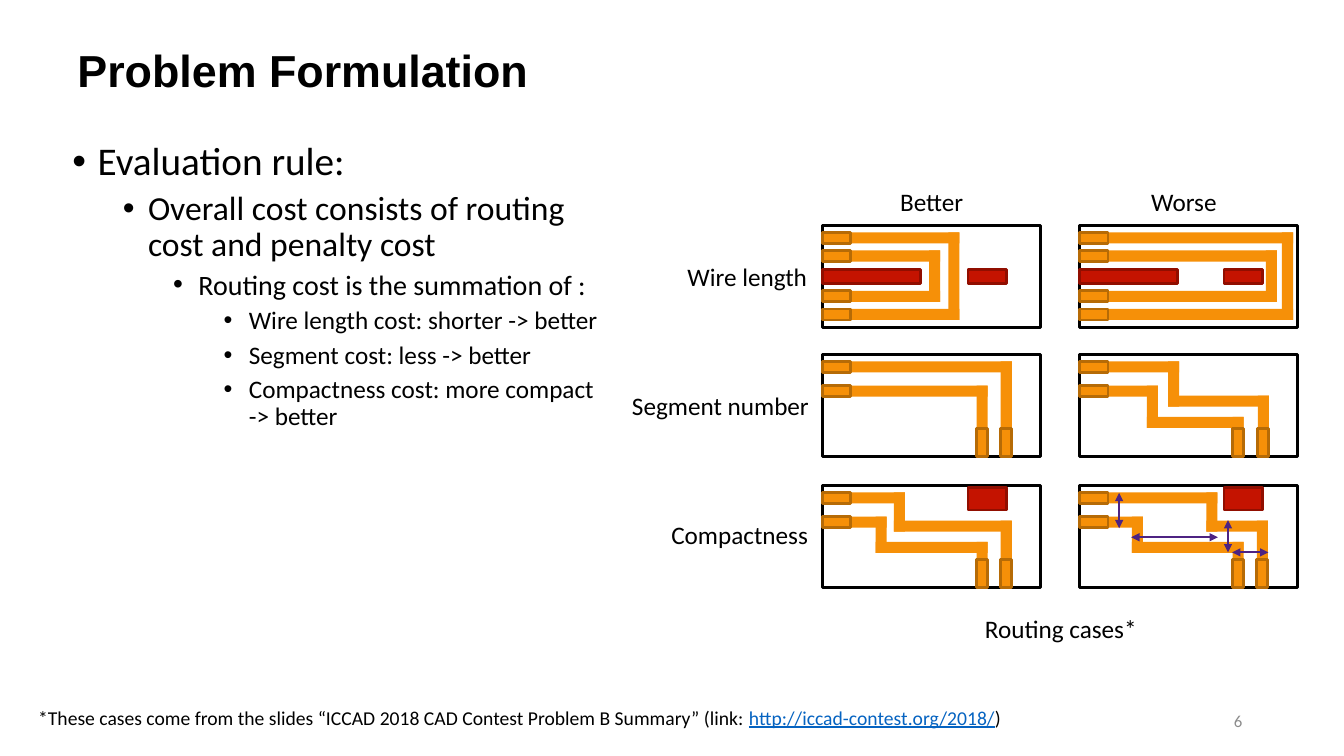
import pptx
import pptx.util
import pptx.dml.color
import pptx.enum.shapes
import pptx.enum.text
import pptx.oxml.ns
import lxml.etree

# Content: text as (box, anchor, align, runs); run as (words, format)
INK, LINK, GREY = "000000", "0563C1", "8C8C8C"
WIRE, PADLINE, RED, REDLINE, ARROW = "F69008", "B66B06", "C41300", "910E00", "4D2382"
LABEL = {"size": 18}
NOTE = {"size": 14}
TEXTS = [
    ((.67, .07, 12.67, 1.25), "MIDDLE", "LEFT",
     [("Problem Formulation", {"size": 32, "name": "Arial", "bold": True})]),
    ((9.42, 6.95, 3, .4), "MIDDLE", "RIGHT", [("6", {"size": 12, "color": GREY})]),
    ((6.72, 2.54, 1.61, .4), "TOP", "LEFT", [("Wire length", LABEL)]),
    ((6.17, 3.82, 2.14, .4), "TOP", "LEFT", [("Segment number", LABEL)]),
    ((6.56, 5.1, 1.77, .4), "TOP", "LEFT", [("Compactness", LABEL)]),
    ((8.83, 1.8, .84, .4), "TOP", "LEFT", [("Better", LABEL)]),
    ((11.32, 1.8, .86, .4), "TOP", "LEFT", [("Worse", LABEL)]),
    ((9.67, 6.04, 1.8, .4), "TOP", "LEFT", [("Routing cases*", LABEL)]),
    ((.28, 6.95, 11.03, .34), "TOP", "LEFT", [
        ("*These cases come from the slides “ICCAD 2018 CAD Contest Problem B Summary” (link: ", NOTE),
        ("http://iccad-contest.org/2018/", NOTE | {"color": LINK, "underline": True}),
        (")", NOTE)]),
]
BODY = (.62, 1.36, 5.44, 5.2)
SIZES = [28, 24, 20, 18]
RULES = [
    (0, "Evaluation rule:"),
    (1, "Overall cost consists of routing cost and penalty cost"),
    (2, "Routing cost is the summation of :"),
    (3, "Wire length cost: shorter -> better"),
    (3, "Segment cost: less -> better"),
    (3, "Compactness cost: more compact -> better"),
]

# Panel grid: column lefts, row tops, panel size
COLS = [8.16, 10.71]
ROWS = [2.24, 3.52, 4.82]
WIDE, HIGH = 2.16, 1.01
THICK, PAD = .11, .28

# Cases inside a panel: (column, row, wires, blocks).
# A wire lists its turns y, x, y, ...: an odd count returns to the left edge,
# an even count runs down to the bottom edge.
CASES = [
    (0, 0, [(.12, 1.3, .88), (.3, 1.11, .7)], [(0, .43, .97, .14), (1.44, .43, .38, .14)]),
    (1, 0, [(.12, 2.06, .88), (.3, 1.9, .7)], [(0, .43, .97, .14), (1.43, .43, .38, .14)]),
    (0, 1, [(.12, 1.82), (.36, 1.58)], []),
    (1, 1, [(.12, .93, .46, 1.82), (.36, .72, .67, 1.57)], []),
    (0, 2, [(.12, .76, .4, 1.82), (.36, .58, .61, 1.58)], [(1.44, .02, .38, .22)]),
    (1, 2, [(.12, 1.31, .4, 1.81), (.36, .57, .61, 1.57)], [(1.43, .02, .38, .22)]),
]
# Spacing arrows in the last panel: x, y, x, y
GAPS = [(.51, .51, 1.37, .51), (.39, .07, .39, .42),
        (1.47, .34, 1.47, .66), (1.51, .66, 1.87, .66)]

inch, pt = pptx.util.Inches, pptx.util.Pt
deck = pptx.Presentation()
deck.slide_width, deck.slide_height = inch(13.33), inch(7.5)
slide = deck.slides.add_slide(deck.slide_layouts[6])


def hue(code):
    return pptx.dml.color.RGBColor.from_string(code)


def write(para, words, form):
    run = para.add_run()
    run.text = words
    for key, val in ({"name": "Calibri", "color": INK} | form).items():
        if key == "color":
            run.font.color.rgb = hue(val)
        else:
            setattr(run.font, key, pt(val) if key == "size" else val)


def textbox(box, anchor="TOP", wrap=True):
    frame = slide.shapes.add_textbox(*map(inch, box)).text_frame
    frame.word_wrap = wrap
    frame.vertical_anchor = pptx.enum.text.MSO_ANCHOR[anchor]
    return frame


def rect(box, fill, line=None):
    form = slide.shapes.add_shape(pptx.enum.shapes.MSO_SHAPE.RECTANGLE, *map(inch, box))
    form.shadow.inherit = False
    form.fill.solid()
    form.fill.fore_color.rgb = hue(fill)
    if line:
        form.line.color.rgb = hue(line)
        form.line.width = pt(2)
    else:
        form.line.fill.background()


def trace(left, top, turns):
    """Draw one wire as a rectangle per leg, then a pad at each end."""
    loop = len(turns) % 2
    track = [PAD, *turns, PAD if loop else HIGH - PAD]
    spots = [(a, b) if i % 2 == 0 else (b, a)
             for i, (a, b) in enumerate(zip(track, track[1:]))]
    half = THICK / 2
    for (xa, ya), (xb, yb) in zip(spots, spots[1:]):
        rect((left + min(xa, xb) - half, top + min(ya, yb) - half,
              abs(xb - xa) + THICK, abs(yb - ya) + THICK), WIRE)
    for y in (turns[0], turns[-1]) if loop else turns[:1]:
        rect((left, top + y - half, PAD, THICK), WIRE, PADLINE)
    if not loop:
        rect((left + turns[-1] - half, top + HIGH - PAD, THICK, PAD), WIRE, PADLINE)


# Title, labels, note and page number
for box, anchor, align, runs in TEXTS:
    para = textbox(box, anchor, box[2] > 1).paragraphs[0]
    para.alignment = pptx.enum.text.PP_ALIGN[align]
    for words, form in runs:
        write(para, words, form)

# Bulleted rules
frame = textbox(BODY)
for i, (level, words) in enumerate(RULES):
    para = frame.add_paragraph() if i else frame.paragraphs[0]
    looks = {"level": level, "line_spacing": .9, "space_before": pt(5 if level else 10)}
    for key, val in looks.items():
        setattr(para, key, val)
    props = para._p.get_or_add_pPr()
    props.set("marL", str(inch(.25 + .5 * level)))
    props.set("indent", str(inch(-.25)))
    for tag, key, val in [("a:buFont", "typeface", "Arial"), ("a:buChar", "char", "•")]:
        lxml.etree.SubElement(props, pptx.oxml.ns.qn(tag)).set(key, val)
    write(para, words, {"size": SIZES[level]})

# Routing panels
for col, row, wires, blocks in CASES:
    left, top = COLS[col], ROWS[row]
    rect((left, top, WIDE, HIGH), "FFFFFF", INK)
    for x, y, wide, high in blocks:
        rect((left + x, top + y, wide, high), RED, REDLINE)
    for turns in wires:
        trace(left, top, turns)

# Spacing arrows
for xa, ya, xb, yb in GAPS:
    ends = (COLS[1] + xa, ROWS[2] + ya, COLS[1] + xb, ROWS[2] + yb)
    link = slide.shapes.add_connector(pptx.enum.shapes.MSO_CONNECTOR.STRAIGHT, *map(inch, ends))
    link.line.color.rgb = hue(ARROW)
    link.line.width = pt(1.5)
    for tag in ("a:headEnd", "a:tailEnd"):
        lxml.etree.SubElement(link.line._get_or_add_ln(), pptx.oxml.ns.qn(tag)).set("type", "triangle")
    lxml.etree.SubElement(link._element.spPr, pptx.oxml.ns.qn("a:effectLst"))

deck.save("out.pptx")
